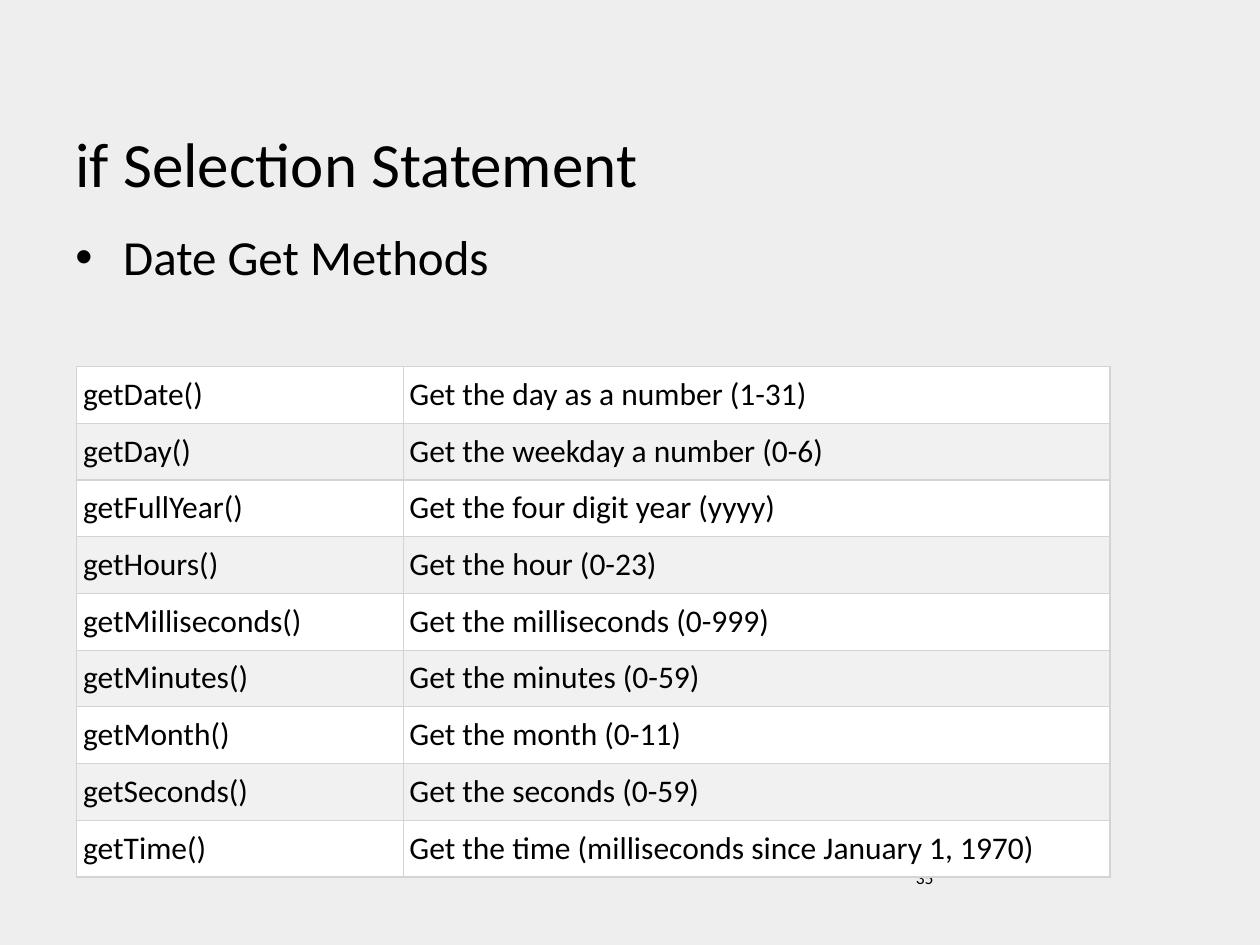
import pptx
import pptx.util
import pptx.dml.color
import pptx.enum.text
import pptx.oxml
import lxml.etree
from pptx.util import Inches

COLORS = {"background": "EEEEEE", "text": "000000", "odd": "FFFFFF",
          "even": "F1F1F1", "border": "D4D4D4"}
NS = "http://schemas.openxmlformats.org/drawingml/2006/main"
METHODS = [
    ("getDate()", "Get the day as a number (1-31)"),
    ("getDay()", "Get the weekday a number (0-6)"),
    ("getFullYear()", "Get the four digit year (yyyy)"),
    ("getHours()", "Get the hour (0-23)"),
    ("getMilliseconds()", "Get the milliseconds (0-999)"),
    ("getMinutes()", "Get the minutes (0-59)"),
    ("getMonth()", "Get the month (0-11)"),
    ("getSeconds()", "Get the seconds (0-59)"),
    ("getTime()", "Get the time (milliseconds since January 1, 1970)"),
]


def rgb(name):
    return pptx.dml.color.RGBColor.from_string(COLORS[name])


def write(tf, text, size):
    p = tf.paragraphs[0]
    p.text = text
    p.font.name = "Calibri"
    p.font.size = pptx.util.Pt(size)
    p.font.color.rgb = rgb("text")
    return p


prs = pptx.Presentation()
prs.slide_width = Inches(10)
prs.slide_height = Inches(7.5)
s = prs.slides.add_slide(prs.slide_layouts[6])
s.background.fill.solid()
s.background.fill.fore_color.rgb = rgb("background")

TOP = pptx.enum.text.MSO_ANCHOR.TOP
BOTTOM = pptx.enum.text.MSO_ANCHOR.BOTTOM
paragraphs = []
for text, size, anchor, x, y, w, h in [
    ("Date Get Methods", 28, TOP, 0.5, 1.75, 9, 4.95),
    ("if Selection Statement", 36, BOTTOM, 0.5, 0.39, 9, 1.25),
    ("35", 10, TOP, 7.17, 6.83, 2.33, 0.52),
]:
    tf = s.shapes.add_textbox(Inches(x), Inches(y), Inches(w), Inches(h)).text_frame
    tf.word_wrap = True
    tf.vertical_anchor = anchor
    paragraphs.append(write(tf, text, size))

pPr = paragraphs[0]._p.get_or_add_pPr()
pPr.set("marL", str(Inches(0.38)))
pPr.set("indent", str(Inches(-0.38)))
bullet_font = pptx.oxml.parse_xml(f'<a:buFont xmlns:a="{NS}" typeface="Arial"/>')
bullet = pptx.oxml.parse_xml(f'<a:buChar xmlns:a="{NS}" char="•"/>')
pPr.insert(0, bullet_font)
pPr.insert(1, bullet)

row_height = Inches(0.45)
table = s.shapes.add_table(len(METHODS), 2, Inches(0.61), Inches(2.91),
                           Inches(8.2), row_height * len(METHODS)).table
table.first_row = False
table.horz_banding = False
table.columns[0].width = Inches(2.59)
table.columns[1].width = Inches(5.61)
for i, texts in enumerate(METHODS):
    table.rows[i].height = row_height
    for j, text in enumerate(texts):
        cell = table.cell(i, j)
        cell.margin_left = cell.margin_right = Inches(0.05)
        cell.margin_top = cell.margin_bottom = Inches(0.07)
        write(cell.text_frame, text, 18)
        cell.fill.solid()
        cell.fill.fore_color.rgb = rgb("even" if i % 2 else "odd")
        tcPr = cell._tc.get_or_add_tcPr()
        for k, side in enumerate(("lnL", "lnR", "lnT", "lnB")):
            tcPr.insert(k, pptx.oxml.parse_xml(
                f'<a:{side} xmlns:a="{NS}" w="{pptx.util.Pt(0.75)}"><a:solidFill>'
                f'<a:srgbClr val="{COLORS["border"]}"/></a:solidFill></a:{side}>'))

prs.save("out.pptx")
